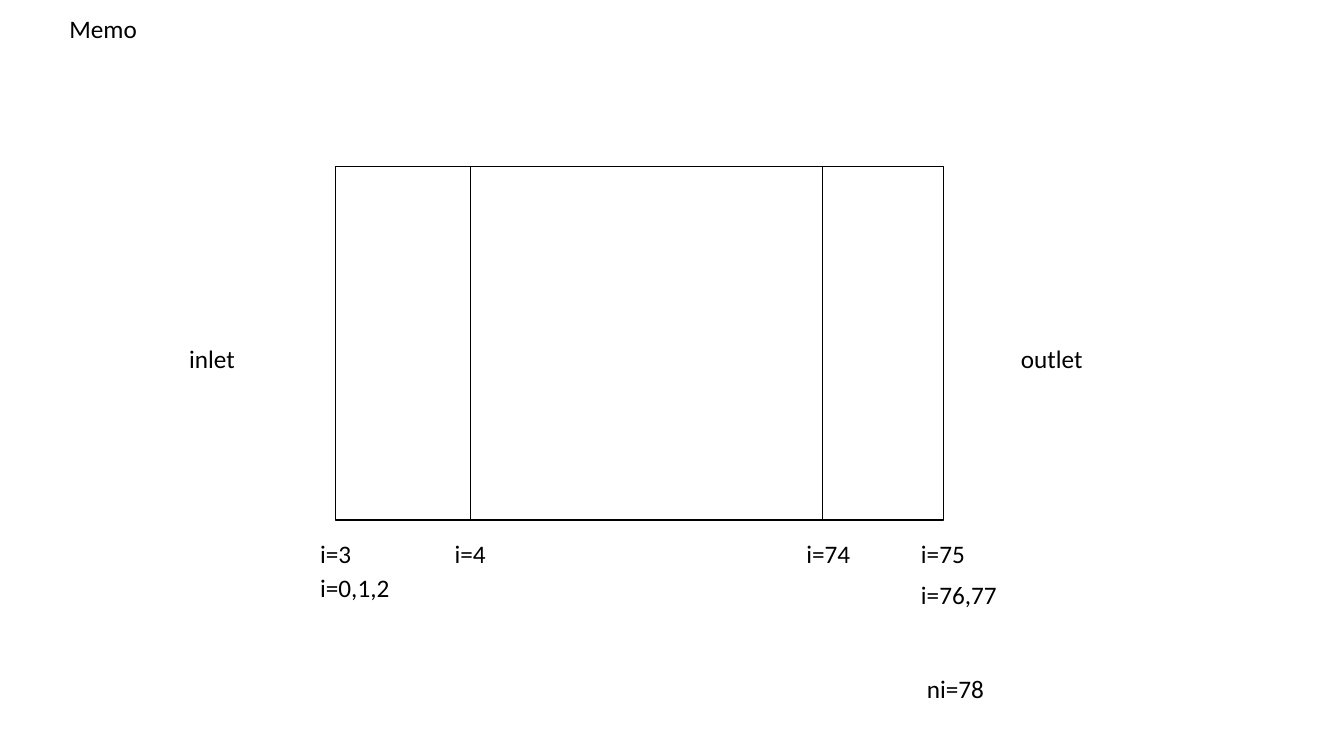
from lxml.etree import SubElement
from pptx import Presentation
from pptx.dml.color import RGBColor
from pptx.enum.shapes import MSO_CONNECTOR as Connector, MSO_SHAPE as Shape
from pptx.enum.text import MSO_ANCHOR as Anchor, MSO_AUTO_SIZE as AutoSize, PP_ALIGN as Align
from pptx.oxml.ns import qn
from pptx.util import Cm, Pt

BLACK, WHITE = "000000", "FFFFFF"
LABEL_HEIGHT = 1.02


def color(hex_code):
    return RGBColor.from_string(hex_code)


def write(holder, text, wrap=False):
    frame = holder.text_frame
    frame.text = text
    frame.word_wrap = wrap
    frame.auto_size = AutoSize.SHAPE_TO_FIT_TEXT
    frame.vertical_anchor = Anchor.TOP
    frame.margin_left = frame.margin_right = Cm(0.25)
    frame.margin_top = frame.margin_bottom = Cm(0.13)
    paragraph = frame.paragraphs[0]
    paragraph.alignment = Align.LEFT
    paragraph.line_spacing = 1.0
    paragraph.space_before = Pt(0)
    font = paragraph.runs[0].font
    font.name, font.size = "Calibri", Pt(18)
    font.color.rgb = color(BLACK)


def add_label(slide, text, left, top, width):
    label = slide.shapes.add_textbox(Cm(left), Cm(top), Cm(width), Cm(LABEL_HEIGHT))
    write(label, text)


def add_title(slide, left, top, width):
    title = slide.shapes.title
    title.left, title.top = Cm(left), Cm(top)
    title.width, title.height = Cm(width), Cm(LABEL_HEIGHT)
    write(title, "Memo", wrap=True)


def add_grid_line(slide, x, top, height):
    line = slide.shapes.add_connector(
        Connector.STRAIGHT, Cm(x), Cm(top), Cm(x), Cm(top + height))
    line.line.color.rgb = color(BLACK)
    line.line.width = Pt(0.5)
    SubElement(line._element.spPr, qn("a:effectLst"))


def add_domain(slide, left, top, width, height):
    """Draw the flow domain with its inner grid lines and index labels."""
    domain = slide.shapes.add_shape(
        Shape.RECTANGLE, Cm(left), Cm(top), Cm(width), Cm(height))
    domain.shadow.inherit = False
    domain.fill.solid()
    domain.fill.fore_color.rgb = color(WHITE)
    domain.line.color.rgb = color(BLACK)
    domain.line.width = Pt(1)

    for offset in (3.4, 12.27):
        add_grid_line(slide, left + offset, top, height)

    # Offsets run from the left edge and from the bottom edge of the domain.
    index_labels = [
        ("i=3", -0.64, 0.33, 1.3),
        ("i=0,1,2", -0.64, 1.17, 2.29),
        ("i=4", 2.75, 0.33, 1.3),
        ("i=74", 11.61, 0.33, 1.63),
        ("i=75", 14.5, 0.33, 1.63),
        ("i=76,77", 14.5, 1.35, 2.44),
        ("ni=78", 14.65, 3.73, 1.98),
    ]
    for text, across, below, label_width in index_labels:
        add_label(slide, text, left + across, top + height + below, label_width)

    side_top = top + height / 2 - 0.14
    add_label(slide, "inlet", left - 3.94, side_top, 1.68)
    add_label(slide, "outlet", left + width + 1.7, side_top, 2.08)


def main():
    deck = Presentation()
    deck.slide_width, deck.slide_height = Cm(33.87), Cm(19.05)
    slide = deck.slides.add_slide(deck.slide_layouts[5])
    add_title(slide, 1.5, 0.2, 3.58)
    add_domain(slide, 8.46, 4.19, 15.32, 8.92)
    deck.save("out.pptx")


if __name__ == "__main__":
    main()
